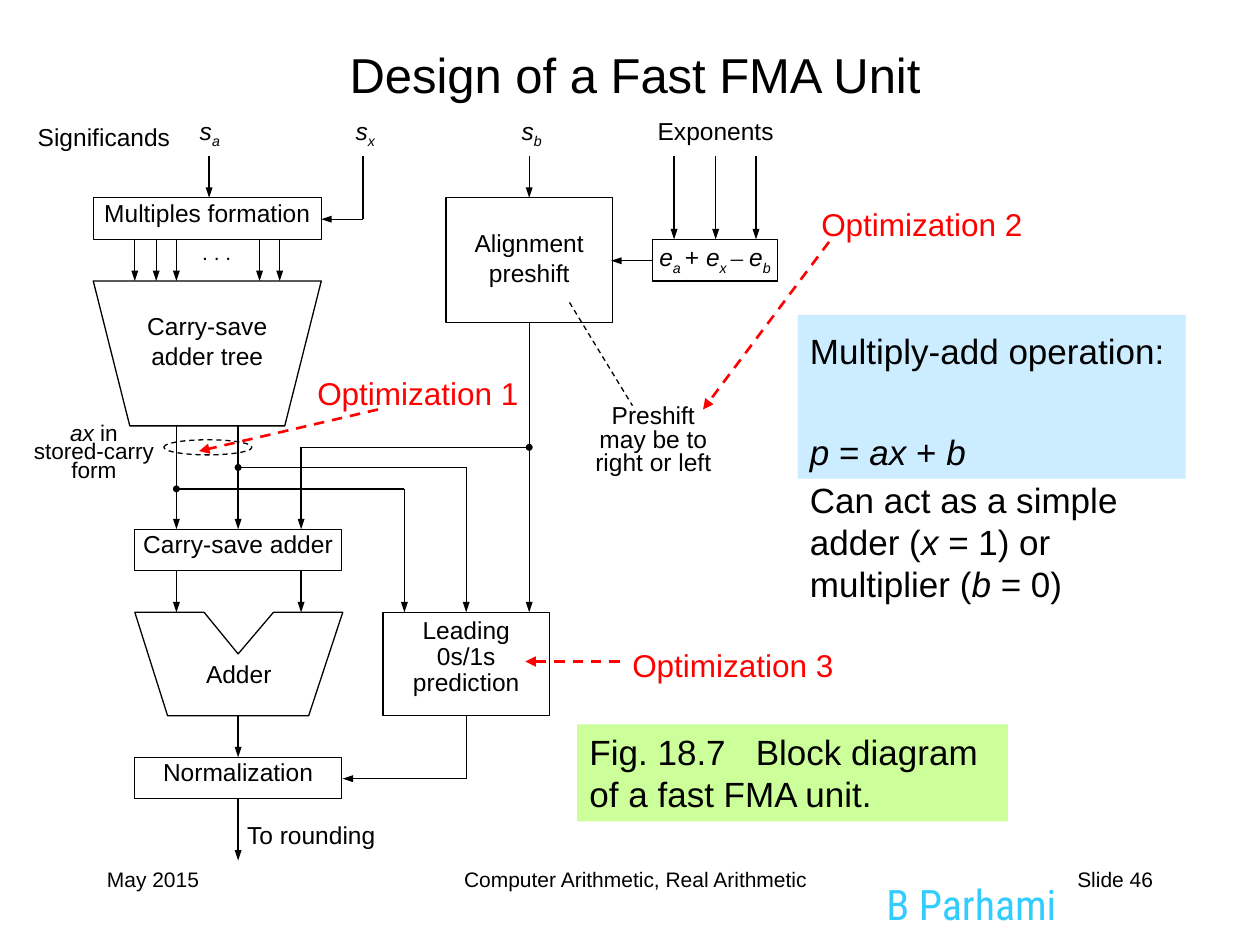
import pptx
import pptx.util
import pptx.dml.color
import pptx.enum.dml
import pptx.enum.shapes
import pptx.enum.text
import pptx.oxml.ns
from lxml import etree

PX = 9144  # 100 px to the inch
BLACK, RED, WHITE = "000000", "FF0000", "FFFFFF"
ALIGN = pptx.enum.text.PP_ALIGN
ANCHOR = pptx.enum.text.MSO_ANCHOR
SHAPE = pptx.enum.shapes.MSO_SHAPE
DASH = pptx.enum.dml.MSO_LINE.DASH
paint = pptx.dml.color.RGBColor.from_string
qn = pptx.oxml.ns.qn

deck = pptx.Presentation()
deck.slide_width, deck.slide_height = 1000 * PX, 750 * PX
page = deck.slides.add_slide(deck.slide_layouts[6])


def add_box(box, paragraphs=(), kind=None, points=None, fill=None, outline=None,
            dash=None, size=14, color=BLACK, font="Arial", align=ALIGN.CENTER,
            inset=(0, 0), spacing=None, wrap=True, anchor=ANCHOR.TOP):
    """Add a text box, preset shape or polygon; a paragraph is a string or a
    list of (text, style) spans, with style "", "i", "sub" or "serif"."""
    if points:
        builder = page.shapes.build_freeform(*points[0], scale=PX)
        builder.add_line_segments(points[1:], close=True)
        shape = builder.convert_to_shape()
    elif kind:
        shape = page.shapes.add_shape(kind, *(PX * v for v in box))
    else:
        shape = page.shapes.add_textbox(*(PX * v for v in box))
    if points or kind:
        shape.shadow.inherit = False
    if fill:
        shape.fill.solid()
        shape.fill.fore_color.rgb = paint(fill)
    else:
        shape.fill.background()
    if outline:
        shape.line.color.rgb = paint(outline)
        shape.line.width = pptx.util.Pt(0.75)
        shape.line.dash_style = dash
    else:
        shape.line.fill.background()

    frame = shape.text_frame
    frame.word_wrap = wrap
    frame.vertical_anchor = anchor
    frame.margin_left = frame.margin_right = inset[0] * PX
    frame.margin_top, frame.margin_bottom = inset[1] * PX, min(inset[1], 5) * PX
    for index, spans in enumerate(paragraphs):
        para = frame.add_paragraph() if index else frame.paragraphs[0]
        para.alignment = align
        if spacing:
            para.line_spacing = spacing
        for text, style in [(spans, "")] if isinstance(spans, str) else spans:
            span = para.add_run()
            span.text = text
            span.font.size = pptx.util.Pt(size)
            span.font.name = "Times New Roman" if style == "serif" else font
            span.font.color.rgb = paint(color)
            span.font.italic = style in ("i", "sub")
            if style == "sub":
                span.font._element.set("baseline", "-25000")
    return shape


def add_line(start, end, head=None, tail="triangle", color=BLACK, width=0.75, dash=None,
             head_width="sm"):
    line = page.shapes.add_connector(pptx.enum.shapes.MSO_CONNECTOR.STRAIGHT,
                                     *(PX * v for v in start + end))
    line.line.color.rgb = paint(color)
    line.line.width = pptx.util.Pt(width)
    line.line.dash_style = dash
    properties = line._element.spPr
    for tag, ending in (("a:headEnd", head), ("a:tailEnd", tail)):
        if ending:
            etree.SubElement(properties.find(qn("a:ln")), qn(tag), type=ending,
                             w=head_width, len="sm" if ending == "oval" else "med")
    etree.SubElement(properties, qn("a:effectLst"))


# Footer and title
add_box((691, 692, 160, 42), ["B Parhami"], size=24, color="33CCFF",
        font="Roboto Condensed", inset=(10, 5), wrap=False)
for left, width, text, align in (
        (75, 208, "May 2015", ALIGN.LEFT),
        (242, 525, "Computer Arithmetic, Real Arithmetic", ALIGN.CENTER),
        (717, 208, "Slide 46", ALIGN.RIGHT)):
    add_box((left, 683, width, 50), [text], size=12, align=align, inset=(10, 5))
add_box((33, 25, 942, 67), ["Design of a Fast FMA Unit"], size=28,
        inset=(10, 5), anchor=ANCHOR.MIDDLE)

# Caption and notes on the operation
caption = add_box((458, 575, 342, 77), ["Fig. 18.7\tBlock diagram of a fast FMA unit."],
                  kind=SHAPE.RECTANGLE, fill="CCFF99", size=20, align=ALIGN.LEFT, inset=(10, 5))
tabs = etree.SubElement(caption.text_frame.paragraphs[0]._p.get_or_add_pPr(), qn("a:tabLst"))
etree.SubElement(tabs, qn("a:tab"), pos=str(132 * PX), algn="l")
add_box((633, 375, 283, 110),
        [[("Can act as a simple adder (", ""), ("x", "i"), (" = 1) or multiplier (", ""),
          ("b", "i"), (" = 0)", "")]],
        size=20, align=ALIGN.LEFT, inset=(10, 5))
operation = add_box((633, 250, 308, 130),
                    ["Multiply-add operation:",
                     [("p", "i"), (" = ", ""), ("ax", "i"), (" + ", ""), ("b", "i")]],
                    kind=SHAPE.RECTANGLE, fill="CCECFF", size=20, align=ALIGN.LEFT,
                    inset=(10, 5), spacing=1.2)
operation.text_frame.paragraphs[1].space_before = pptx.util.Pt(29)

# Blocks of the unit
for box, text, inset, spacing in (
        ((74, 157, 181, 33), "Multiples formation", (0, 0), None),
        ((107, 420, 164, 33), "Carry-save adder", (0, 0), None),
        ((107, 601, 164, 33), "Normalization", (0, 0), None),
        ((354, 157, 132, 99), "Alignment preshift", (10, 24), None),
        ((304, 486, 132, 82), "Leading 0s/1s prediction", (10, 5), 0.88),
        ((518, 190, 99, 33),
         [("e", "i"), ("a ", "sub"), ("+ ", ""), ("e", "i"), ("x ", "sub"),
          ("– ", "serif"), ("e", "i"), ("b", "sub")], (0, 5), 0.8)):
    add_box(box, [text], kind=SHAPE.RECTANGLE, fill=WHITE, outline=BLACK,
            inset=inset, spacing=spacing)
add_box(None, ["Carry-save adder tree"], fill=WHITE, outline=BLACK, inset=(35, 24),
        points=[(74, 223), (103, 338), (226, 338), (255, 223)])
add_box(None, ["Adder"], fill=WHITE, outline=BLACK, inset=(10, 37),
        points=[(107, 486), (133, 568), (245, 568), (272, 486),
                (217, 486), (189, 519), (162, 486)])
add_box((130, 349, 70, 12), kind=SHAPE.OVAL, outline=BLACK, dash=DASH)

# Labels
for left, width, letter in ((142, 49, "a"), (257, 66, "x"), (389, 66, "b")):
    add_box((left, 92, width, 33), [[("s", "i"), (letter, "sub")]])
add_box((502, 92, 132, 33), ["Exponents"])
add_box((25, 101, 115, 33), ["Significands"], spacing=0.8)
add_box((131, 190, 82, 33), [". . ."], size=12)
add_box((25, 338, 99, 66), [[("ax", "i"), (" in", "")], "stored-carry", "form"],
        size=12.9, spacing=0.7)
add_box((469, 322, 99, 66), ["Preshift may be to right or left"], spacing=0.8)
add_box((173, 651, 148, 33), ["To rounding"])

# Vertical arrows: columns sharing a top and a bottom
for top, bottom, columns in (
        (124, 157, (166, 420)),
        (124, 190, (535, 568, 600)),
        (190, 223, (107, 124, 140, 206, 222)),
        (338, 420, (140, 189)),
        (355, 420, (239,)),
        (453, 486, (140, 239)),
        (256, 486, (420,)),
        (371, 486, (370,)),
        (388, 486, (321,)),
        (568, 601, (189,)),
        (634, 683, (189,))):
    for x in columns:
        add_line((x, top), (x, bottom))

# Side connections
add_line((288, 124), (288, 174), tail=None)
add_line((288, 174), (255, 174))
add_line((518, 207), (485, 207))
for start, end in (((420, 355), (239, 355)), ((189, 371), (370, 371)), ((140, 388), (321, 388))):
    add_line(start, end, head="oval", tail=None)
add_line((370, 568), (370, 618), tail=None)
add_line((370, 618), (272, 618))
add_line((452, 240), (502, 322), tail=None, dash=DASH)

# Optimizations
for number, corner, start, end in (
        (1, (242, 292), (300, 325), (158, 358)),
        (2, (642, 158), (658, 192), (558, 325)),
        (3, (492, 508), (492, 525), (417, 525))):
    add_box(corner + (180, 40), [f"Optimization {number}"], size=18, color=RED,
            align=ALIGN.LEFT, inset=(10, 5), wrap=False)
    add_line(start, end, color=RED, width=1.5, dash=DASH, head_width="med")

deck.save("out.pptx")
